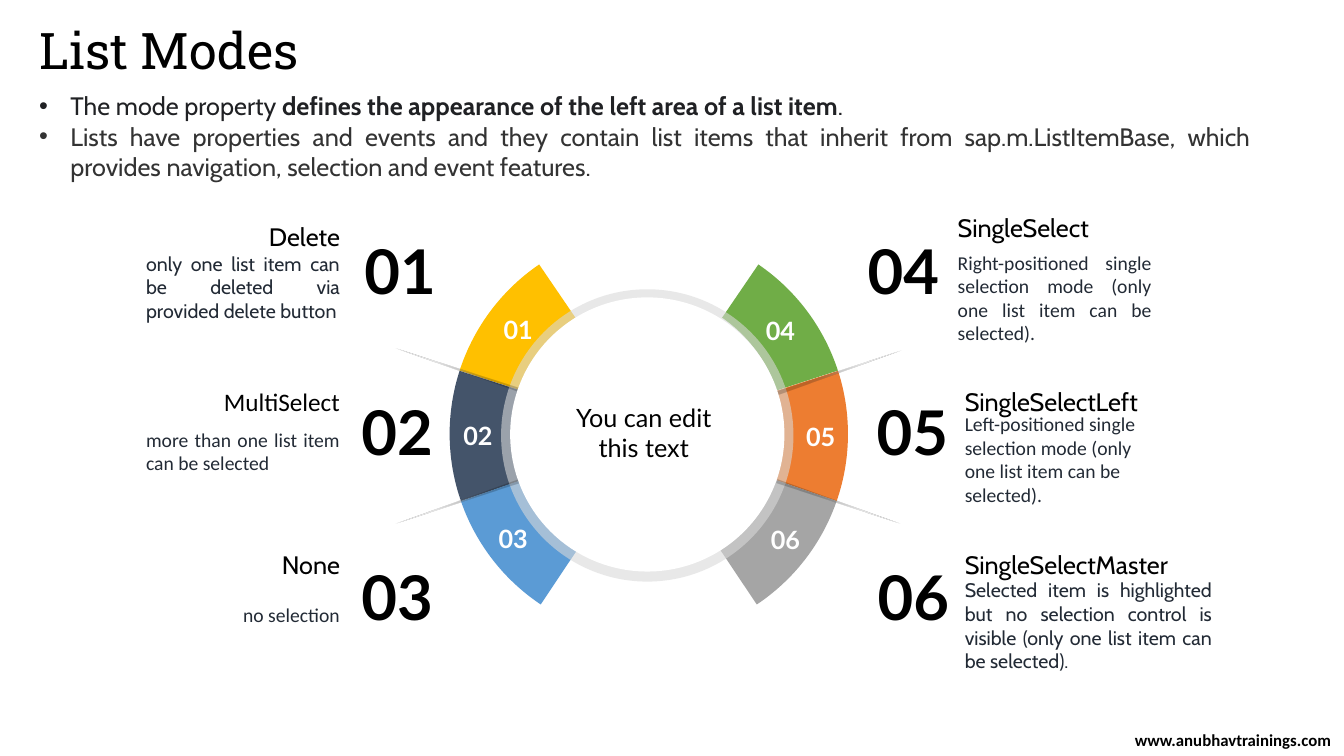
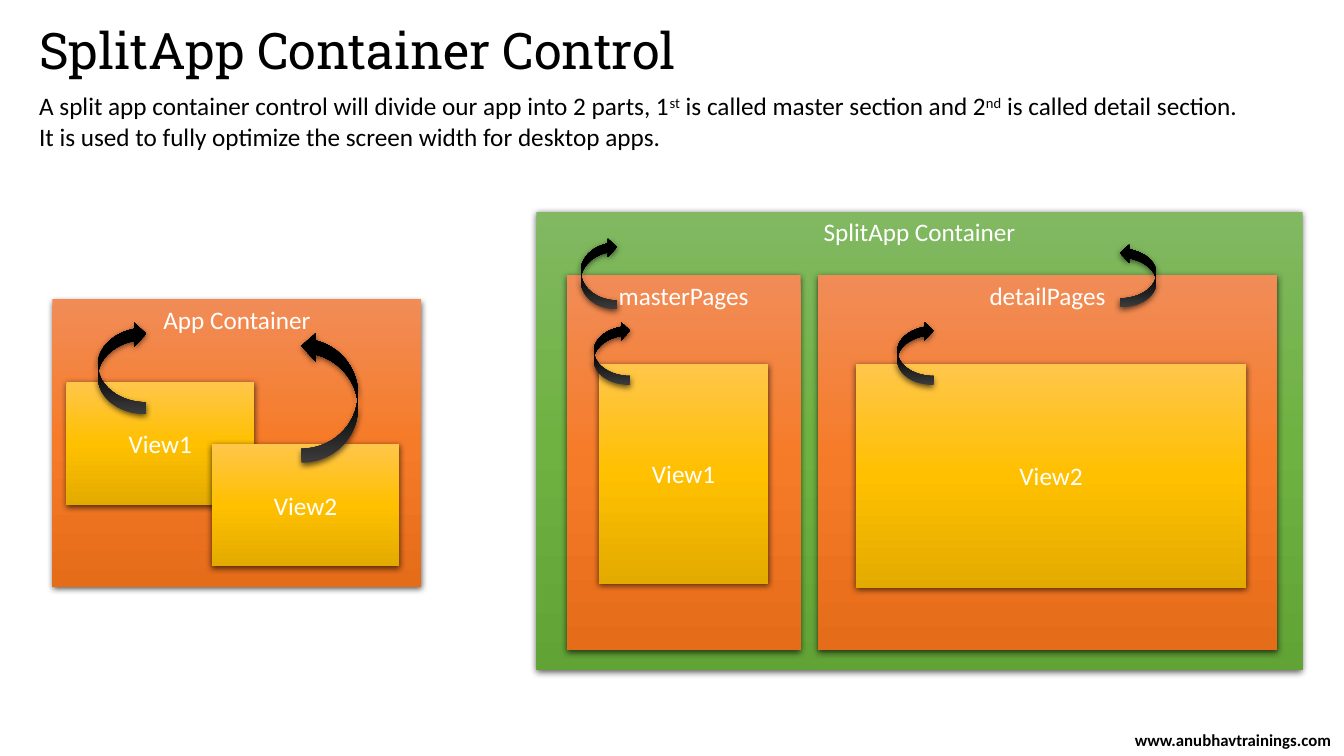
from dataclasses import dataclass

from lxml import etree
from pptx import Presentation
from pptx import util as u
from pptx.dml.color import RGBColor
from pptx.enum import shapes, text
from pptx.oxml.ns import qn

Inches = u.Inches
KIND = shapes.MSO_SHAPE
ALIGN = text.PP_ALIGN
ANCHOR = text.MSO_ANCHOR

BLACK = RGBColor(0x00, 0x00, 0x00)
WHITE = RGBColor(0xFF, 0xFF, 0xFF)
INK = RGBColor(0x20, 0x21, 0x24)
SOFT_INK = RGBColor(0x33, 0x33, 0x33)
NAVY = RGBColor(0x22, 0x2A, 0x35)
RING = RGBColor(0xD9, 0xD9, 0xD9)
SILVER = RGBColor(0xC5, 0xC5, 0xC5)
YELLOW = RGBColor(0xFF, 0xC0, 0x00)
SLATE = RGBColor(0x44, 0x54, 0x6A)
BLUE = RGBColor(0x5B, 0x9B, 0xD5)
GREEN = RGBColor(0x70, 0xAD, 0x47)
ORANGE = RGBColor(0xED, 0x7D, 0x31)
GRAY = RGBColor(0xA5, 0xA5, 0xA5)

SPOKE_STOPS = [(22, BLACK, 20), (67, SILVER, 50), (87, WHITE, 100)]
ORANGE_STOPS = [(0, RGBColor(0xF1, 0x8C, 0x57), 100),
                (50, RGBColor(0xF6, 0x7B, 0x28), 100),
                (100, RGBColor(0xE5, 0x6C, 0x19), 100)]
YELLOW_STOPS = [(0, RGBColor(0xFF, 0xC6, 0x4B), 100),
                (50, YELLOW, 100),
                (100, RGBColor(0xE3, 0xAB, 0x00), 100)]
GREEN_STOPS = [(0, RGBColor(0x81, 0xB8, 0x61), 100),
               (50, RGBColor(0x6F, 0xB2, 0x42), 100),
               (100, RGBColor(0x62, 0xA3, 0x36), 100)]
BLACK_STOPS = [(0, RGBColor(0x4B, 0x4B, 0x4B), 100),
               (50, BLACK, 100), (100, BLACK, 100)]

TITLE_FONT = "Roboto Slab"
FOOTER = "www.anubhavtrainings.com"
ARC_SIZE = 4.07
ARC_ROWS = [(5.7, (115.37, 137.99, 0.157)),
            (-5.4, (99.76, 121.98, 0.157)),
            (-42.5, (99.76, 122.04, 0.159))]


@dataclass
class Mode:
    name: str
    detail: str
    color: RGBColor
    number_at: tuple
    badge_at: tuple
    text_left: float
    name_top: float
    detail_top: float
    detail_align: int
    name_font: str = "Cabin"
    detail_font: str = "Calibri"
    width: float = 2.12
    badge_width: float = 0.6


MODES = [
    Mode("Delete", "only one list item can be deleted via provided delete button",
         YELLOW, (3.49, 2.26), (4.79, 3.07), 1.35, 2.16, 2.53, ALIGN.JUSTIFY,
         detail_font="Cabin", badge_width=0.7),
    Mode("MultiSelect", "more than one list item can be selected",
         SLATE, (3.46, 3.86), (4.44, 4.12), 1.35, 3.79, 4.16, ALIGN.JUSTIFY,
         name_font="Calibri"),
    Mode("None", "no selection",
         BLUE, (3.46, 5.5), (4.79, 5.14), 1.35, 5.41, 5.78, ALIGN.RIGHT),
    Mode("SingleSelect",
         "Right-positioned single selection mode (only one list item can be selected).",
         GREEN, (8.48, 2.26), (7.39, 3.08), 9.4, 2.07, 2.64, ALIGN.JUSTIFY,
         badge_width=0.7),
    Mode("SingleSelectLeft",
         "Left-positioned single selection mode (only one list item can be selected).",
         ORANGE, (8.57, 3.86), (7.84, 4.13), 9.47, 3.79, 4.24, ALIGN.LEFT),
    Mode("SingleSelectMaster",
         "Selected item is highlighted but no selection control is visible "
         "(only one list item can be selected).",
         GRAY, (8.58, 5.5), (7.49, 5.15), 9.47, 5.41, 5.89, ALIGN.JUSTIFY,
         detail_font="Cabin", width=2.65),
]


def add_bullet(para):
    props = para._p.get_or_add_pPr()
    props.set("marL", str(Inches(0.31)))
    props.set("indent", str(Inches(-0.31)))
    etree.SubElement(props, qn("a:buFont")).set("typeface", "Arial")
    etree.SubElement(props, qn("a:buChar")).set("char", "•")


def write(box, content, size=18, font="Calibri", color=BLACK, bold=False,
          align=ALIGN.LEFT, anchor=ANCHOR.TOP, bullets=False, spacing=None):
    frame = box.text_frame
    frame.word_wrap = True
    frame.vertical_anchor = anchor
    paragraphs = [[(content, {})]] if isinstance(content, str) else content
    for index, spans in enumerate(paragraphs):
        para = frame.add_paragraph() if index else frame.paragraphs[0]
        para.alignment = align
        if spacing:
            para.line_spacing = spacing
        if bullets:
            add_bullet(para)
        for words, change in spans:
            span = para.add_run()
            span.text = words
            span.font.size = u.Pt(size)
            span.font.name = font
            span.font.bold = change.get("bold", bold)
            span.font.color.rgb = change.get("color", color)
            if change.get("raised"):
                span._r.get_or_add_rPr().set("baseline", "30000")


def add_text(page, at, content, **style):
    box = page.shapes.add_textbox(*map(Inches, at))
    write(box, content, **style)
    return box


def set_alpha(color_element, percent):
    if percent < 100:
        alpha = etree.SubElement(color_element, qn("a:alpha"))
        alpha.set("val", str(percent * 1000))


def fill_gradient(shape, stops, angle):
    shape.fill.gradient()
    shape.fill.gradient_angle = angle
    stop_list = shape.element.spPr.find(".//" + qn("a:gsLst"))
    for stop in list(stop_list):
        stop_list.remove(stop)
    for position, color, percent in stops:
        stop = etree.SubElement(stop_list, qn("a:gs"))
        stop.set("pos", str(position * 1000))
        value = etree.SubElement(stop, qn("a:srgbClr"))
        value.set("val", str(color))
        set_alpha(value, percent)


def add_shadow(shape):
    effects = shape.element.spPr.find(qn("a:effectLst"))
    shadow = etree.SubElement(effects, qn("a:outerShdw"))
    settings = {"blurRad": u.Pt(4.5), "dist": u.Pt(1.5), "dir": 5400000,
                "algn": "ctr", "rotWithShape": 0}
    for key, value in settings.items():
        shadow.set(key, str(value))
    color = etree.SubElement(shadow, qn("a:srgbClr"))
    color.set("val", str(BLACK))
    set_alpha(color, 63)


def add_figure(page, kind, at, fill, rotation=0, flip="", alpha=100,
               angle=270, shadow=False):
    shape = page.shapes.add_shape(kind, *map(Inches, at))
    shape.shadow.inherit = False
    shape.line.fill.background()
    shape.rotation = rotation
    for axis in flip:
        shape.element.spPr.find(qn("a:xfrm")).set("flip" + axis, "1")
    if isinstance(fill, list):
        fill_gradient(shape, fill, angle)
    else:
        shape.fill.solid()
        shape.fill.fore_color.rgb = fill
        set_alpha(shape.element.spPr.find(".//" + qn("a:srgbClr")), alpha)
    if shadow:
        add_shadow(shape)
    return shape


def add_page(deck, heading):
    page = deck.slides.add_slide(deck.slide_layouts[5])
    title = page.shapes.title
    title.left, title.top, title.width, title.height = map(
        Inches, (0.29, 0.21, 12.21, 0.65))
    write(title, heading, size=36, font=TITLE_FONT, spacing=0.9)
    title.text_frame.auto_size = text.MSO_AUTO_SIZE.NONE
    add_text(page, (11.13, 7.26, 2.2, 0.16), FOOTER, size=12, bold=True,
             align=ALIGN.CENTER, anchor=ANCHOR.MIDDLE)
    return page


def add_intro(page, content, **style):
    add_text(page, (0.29, 0.85, 12.21, 1.01), content, **style)


def add_mode(page, index, mode):
    label = f"{index + 1:02d}"
    on_right = index >= len(ARC_ROWS)
    rotation, adjustments = ARC_ROWS[index % len(ARC_ROWS)]
    arc = add_figure(page, KIND.BLOCK_ARC,
                     (4.34 if on_right else 4.46, 2.27, ARC_SIZE, ARC_SIZE),
                     mode.color, rotation=-rotation if on_right else rotation,
                     flip="H" if on_right else "")
    for position, value in enumerate(adjustments):
        arc.adjustments[position] = value
    add_text(page, (*mode.badge_at, mode.badge_width, 0.4), label, font="Lato",
             color=WHITE, bold=True, align=ALIGN.CENTER)
    add_text(page, (*mode.number_at, 0.96, 0.84), label, size=44, font="Lato",
             bold=True, align=ALIGN.CENTER)
    add_text(page, (mode.text_left, mode.name_top, mode.width, 0.38), mode.name,
             font=mode.name_font, anchor=ANCHOR.MIDDLE,
             align=ALIGN.LEFT if on_right else ALIGN.RIGHT)
    add_text(page, (mode.text_left, mode.detail_top, mode.width, 0.63),
             mode.detail, size=14, font=mode.detail_font, color=NAVY,
             align=mode.detail_align, anchor=ANCHOR.MIDDLE)


def add_hub(page):
    add_figure(page, KIND.OVAL, (4.97, 2.87, 2.9, 2.9), RING, alpha=59)
    spokes = [(8.3, 4.34, 288.6, "V"), (4.51, 4.34, 71.4, "HV"),
              (8.31, 3.04, 71.4, ""), (4.51, 3.02, 288.6, "H")]
    for left, top, rotation, flip in spokes:
        add_figure(page, KIND.ISOSCELES_TRIANGLE, (left, top, 0.04, 1.29),
                   SPOKE_STOPS, rotation=rotation, flip=flip, angle=90)
    add_figure(page, KIND.OVAL, (5.06, 2.95, 2.72, 2.72), WHITE)
    add_text(page, (5.41, 3.65, 1.95, 1.28), "You can edit this text",
             font="Lato", align=ALIGN.CENTER, anchor=ANCHOR.MIDDLE)


def build_list_modes(deck):
    page = add_page(deck, "List Modes")
    add_intro(page, [
        [("The mode property ", {}),
         ("defines the appearance of the left area of a list item", {"bold": True}),
         (".", {})],
        [("Lists have properties and events and they contain list items that "
          "inherit from sap.m.ListItemBase, which provides navigation, selection "
          "and event features.", {"color": SOFT_INK})],
    ], font="Cabin", color=INK, align=ALIGN.JUSTIFY, bullets=True)
    for index, mode in enumerate(MODES):
        add_mode(page, index, mode)
    add_hub(page)


def add_panel(page, at, label, stops, anchor=ANCHOR.TOP):
    panel = add_figure(page, KIND.RECTANGLE, at, stops, shadow=True)
    write(panel, label, color=WHITE, align=ALIGN.CENTER, anchor=anchor)


def build_split_app(deck):
    page = add_page(deck, "SplitApp Container Control")
    add_intro(page, [[
        ("A split app container control will divide our app into 2 parts, 1", {}),
        ("st", {"raised": True}),
        (" is called master section and 2", {}),
        ("nd", {"raised": True}),
        (" is called detail section. It is used to fully optimize the screen "
         "width for desktop apps.", {}),
    ]])
    containers = [((0.52, 2.97, 3.66, 2.85), "App Container", ORANGE_STOPS),
                  ((5.32, 2.1, 7.6, 4.55), "SplitApp Container", GREEN_STOPS),
                  ((5.62, 2.73, 2.32, 3.72), "masterPages", ORANGE_STOPS),
                  ((8.11, 2.73, 4.56, 3.72), "detailPages", ORANGE_STOPS)]
    for at, label, stops in containers:
        add_panel(page, at, label, stops)
    views = [((0.66, 3.79, 1.86, 1.22), "View1"),
             ((2.1, 4.4, 1.86, 1.22), "View2"),
             ((5.94, 3.61, 1.68, 2.18), "View1"),
             ((8.49, 3.61, 3.87, 2.22), "View2")]
    for at, label in views:
        add_panel(page, at, label, YELLOW_STOPS, anchor=ANCHOR.MIDDLE)
    arrows = [((2.99, 3.29, 0.56, 1.3), 180, ""),
              ((0.97, 3.19, 0.48, 0.92), 0, "V"),
              ((5.89, 3.19, 0.36, 0.63), 0, "V"),
              ((8.9, 3.19, 0.36, 0.63), 0, "V"),
              ((5.76, 2.36, 0.36, 0.71), 0, "V"),
              ((11.11, 2.42, 0.36, 0.63), 0, "HV")]
    for at, rotation, flip in arrows:
        add_figure(page, KIND.CURVED_RIGHT_ARROW, at, BLACK_STOPS,
                   rotation=rotation, flip=flip, shadow=True)


def main():
    deck = Presentation()
    deck.slide_width, deck.slide_height = Inches(13.33), Inches(7.5)
    build_list_modes(deck)
    build_split_app(deck)
    deck.save("out.pptx")


if __name__ == "__main__":
    main()
